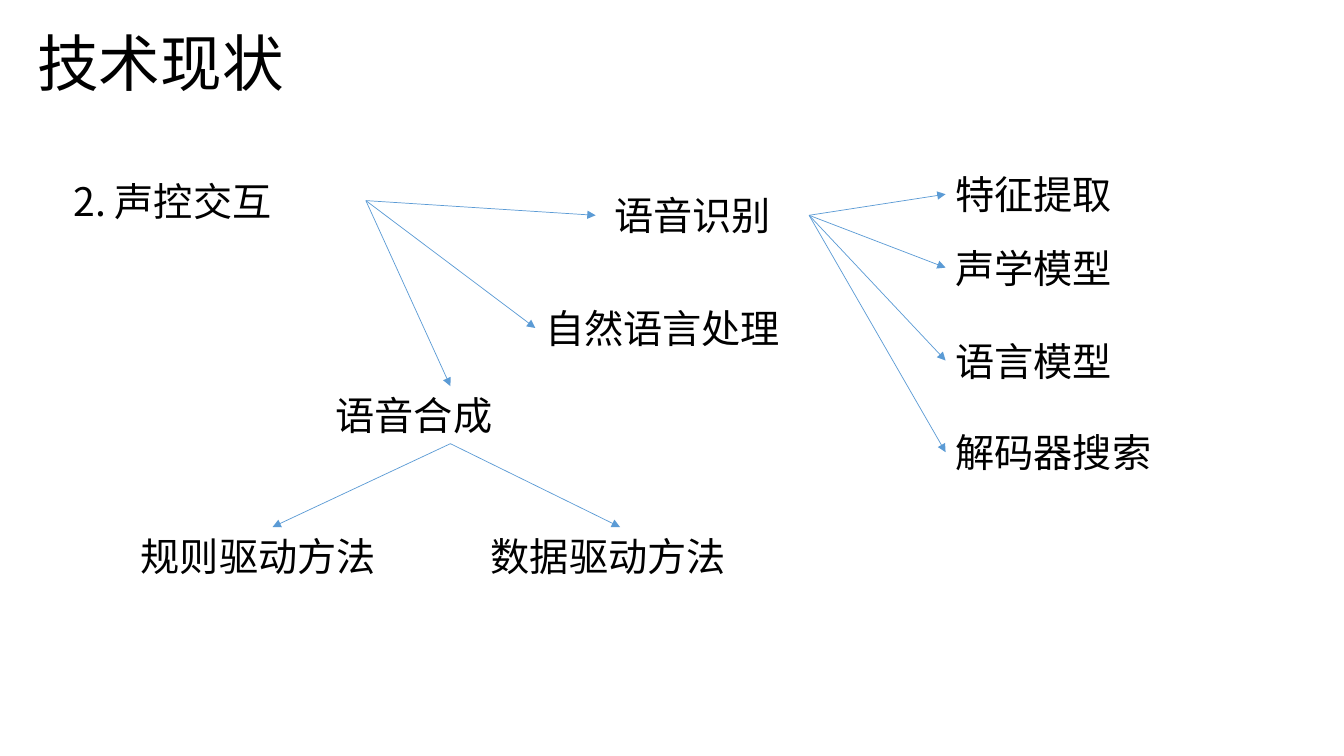
"""Build the slide on the state of voice interaction technology."""
from dataclasses import dataclass
from typing import Any

from lxml.etree import SubElement
from pptx import Presentation
from pptx.dml.color import RGBColor as RGB
from pptx.enum.shapes import MSO_CONNECTOR as CONN
from pptx.enum.text import MSO_ANCHOR as ANCHOR, MSO_AUTO_SIZE as AUTO
from pptx.oxml.ns import qn
from pptx.util import Cm, Pt

FONT = "Noto Sans CJK SC"
COLORS = {"text": "000000", "arrow": "5B9BD5"}
FRAME = {"word_wrap": True, "margin_right": Cm(0.25),
         "margin_top": Cm(0.13), "margin_bottom": Cm(0.13)}


@dataclass(frozen=True)
class Node:
    text: str
    left: float
    top: float
    width: float
    height: float = 1.45
    inset: float = 0.25
    size: int = 28
    spacing: float = 1.0

    def port(self, side: str) -> tuple[float, float]:
        x, y = {"left": (0, 0.5), "right": (1, 0.5),
                "top": (0.5, 0), "bottom": (0.5, 1)}[side]
        return self.left + x * self.width, self.top + y * self.height


@dataclass(frozen=True)
class Branch:
    source: Node
    exit: str
    targets: list[Node]
    entry: str


def apply(obj: Any, values: dict[str, Any]) -> None:
    for name, value in values.items():
        setattr(obj, name, value)


def draw_node(s: Any, node: Node) -> None:
    box = map(Cm, (node.left, node.top, node.width, node.height))
    tf = s.shapes.add_textbox(*box).text_frame
    apply(tf, FRAME | {"margin_left": Cm(node.inset), "auto_size": AUTO.NONE,
                       "vertical_anchor": ANCHOR.MIDDLE})
    p = tf.paragraphs[0]
    p.line_spacing = node.spacing
    r = p.add_run()
    r.text = node.text
    apply(r.font, {"name": FONT, "size": Pt(node.size)})
    r.font.color.rgb = RGB.from_string(COLORS["text"])
    SubElement(r.font._element, qn("a:ea"), typeface=FONT)


def draw_branch(s: Any, branch: Branch) -> None:
    start = branch.source.port(branch.exit)
    for target in branch.targets:
        ends = map(Cm, start + target.port(branch.entry))
        c = s.shapes.add_connector(CONN.STRAIGHT, *ends)
        c.line.width = Pt(0.5)
        c.line.color.rgb = RGB.from_string(COLORS["arrow"])
        SubElement(c.line._get_or_add_ln(), qn("a:tailEnd"), type="triangle")
        SubElement(c._element.spPr, qn("a:effectLst"))


title = Node("技术现状", 0, 0.71, 33.86, 1.93, inset=0.94, size=44, spacing=0.9)
control = Node("2. 声控交互", 1.6, 3.38, 7.62, 3.35)
recognition = Node("语音识别", 15.01, 4.7, 5.38, inset=0.47)
language = Node("自然语言处理", 13.49, 7.54, 6.91)
synthesis = Node("语音合成", 7.54, 9.73, 7.62, inset=0.92)
steps = [Node(text, 23.83, top, width) for text, top, width in (
    ("特征提取", 4.17, 5.38), ("声学模型", 6.02, 5.38),
    ("语言模型", 8.36, 5.38), ("解码器搜索", 10.67, 6.25))]
methods = [Node("规则驱动方法", 3.3, 13.28, 7.14),
           Node("数据驱动方法", 12.12, 13.28, 7.01)]
branches = [
    Branch(control, "right", [recognition, language], "left"),
    Branch(control, "right", [synthesis], "top"),
    Branch(recognition, "right", steps, "left"),
    Branch(synthesis, "bottom", methods, "top"),
]

prs = Presentation()
apply(prs, {"slide_width": Cm(33.87), "slide_height": Cm(19.05)})
s = prs.slides.add_slide(prs.slide_layouts[6])
for node in [title, control, recognition, language, synthesis, *steps, *methods]:
    draw_node(s, node)
for branch in branches:
    draw_branch(s, branch)
prs.save("out.pptx")
